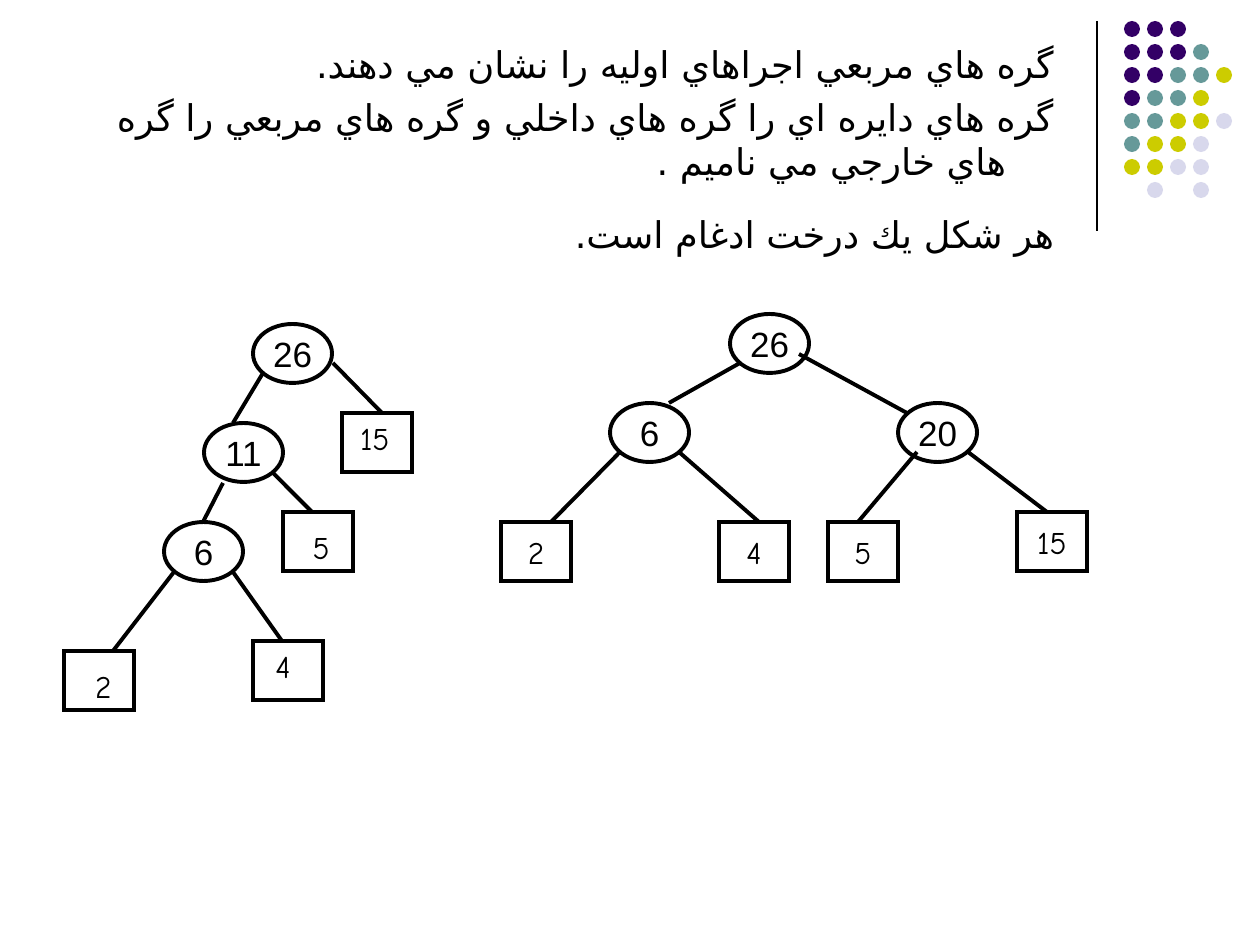
from lxml.etree import SubElement
from pptx import Presentation
from pptx.dml.color import RGBColor
from pptx.enum.shapes import MSO_CONNECTOR as Connector, MSO_SHAPE as Shape
from pptx.enum.text import MSO_ANCHOR as Anchor, MSO_AUTO_SIZE as AutoSize, PP_ALIGN as Align
from pptx.oxml.ns import qn
from pptx.util import Emu, Pt

EMU_PER_PX = 914400 / 126
COLORS = {
    "black": "000000", "white": "FFFFFF",
    "P": "330066", "T": "669999", "Y": "CCCC00", "L": "D8D8EC",
}


def px(*lengths):
    """Turn pixel lengths into a list of EMU lengths."""
    return [Emu(round(length * EMU_PER_PX)) for length in lengths]


def add_text(para, text, size, font, align, rtl_font=None):
    """Add one run; rtl_font makes the paragraph right-to-left."""
    para.alignment = align
    span = para.add_run()
    span.text = text
    span.font.size = Pt(size)
    span.font.name = font
    span.font.color.rgb = RGBColor.from_string(COLORS["black"])
    if rtl_font:
        para._p.get_or_add_pPr().set("rtl", "1")
        SubElement(span._r.get_or_add_rPr(), qn("a:cs"), typeface=rtl_font)


deck = Presentation()
deck.slide_width, deck.slide_height = px(1260, 945)
page = deck.slides.add_slide(deck.slide_layouts[1])
title = page.shapes.title
title._element.getparent().remove(title._element)

# Corner ornament: one letter per dot, naming its colour
DOTS = ["PPP", "PPPT", "PPTTY", "PTTY", "TTYYL", "TYYL", "YYLL", " L L"]
for row, letters in enumerate(DOTS):
    for column, letter in enumerate(letters):
        if letter == " ":
            continue
        dot = page.shapes.add_shape(
            Shape.OVAL, *px(1124 + 23 * column, 21 + 23 * row, 16, 16))
        dot.shadow.inherit = False
        dot.fill.solid()
        dot.fill.fore_color.rgb = RGBColor.from_string(COLORS[letter])
        dot.line.fill.background()

# Explanation
body = page.placeholders[1]
body.left, body.top, body.width, body.height = px(94, 35, 973, 721)
frame = body.text_frame
frame.auto_size = AutoSize.NONE
frame.vertical_anchor = Anchor.TOP
PARAGRAPHS = [
    (0, [("گره هاي مربعي اجراهاي اوليه را نشان مي دهند.", 21)]),
    (5.2, [("گره هاي دايره اي را گره هاي داخلي و گره هاي مربعي را گره هاي خارجي مي ناميم . ", 21)]),
    (7.5, [("هر شكل يك درخت ادغام است.", 21), (" ", 30)]),
]
hanging = px(48)[0]
for index, (space, spans) in enumerate(PARAGRAPHS):
    para = frame.add_paragraph() if index else frame.paragraphs[0]
    properties = para._p.get_or_add_pPr()
    properties.set("marL", str(hanging))
    properties.set("indent", str(-hanging))
    SubElement(properties, qn("a:buNone"))
    para.space_before = Pt(space)
    for text, size in spans:
        add_text(para, text, size, "Arial", Align.RIGHT, "DejaVu Sans")

# Tree nodes: circles are internal, squares are external
CIRCLES = [
    (253, 324, "26"), (204, 423, "11"), (164, 522, "6"),
    (730, 314, "26"), (610, 403, "6"), (898, 403, "20"),
]
SQUARES = [
    (342, 413, ""), (283, 512, ""), (64, 651, ""), (253, 641, ""),
    (501, 522, "2"), (719, 522, "4"), (828, 522, "5"), (1017, 512, "15"),
]
for kind, width, size, rtl_font, nodes in [
        (Shape.OVAL, 79, 20, "Arial", CIRCLES),
        (Shape.RECTANGLE, 70, 18, None, SQUARES)]:
    for left, top, value in nodes:
        node = page.shapes.add_shape(kind, *px(left, top, width, 59))
        node.shadow.inherit = False
        node.fill.solid()
        node.fill.fore_color.rgb = RGBColor.from_string(COLORS["white"])
        node.line.color.rgb = RGBColor.from_string(COLORS["black"])
        node.line.width = Pt(2.25)
        SubElement(node.line._get_or_add_ln(), qn("a:miter"), lim="800000")
        if value:
            node.text_frame.word_wrap = False
            node.text_frame.vertical_anchor = Anchor.MIDDLE
            add_text(node.text_frame.paragraphs[0], value, size, "Comic Neue",
                     Align.CENTER, rtl_font)

# Values of the left tree's squares
LABELS = [(313, 413, 89, "15"), (293, 522, 49, "5"),
          (75, 661, 49, "2"), (263, 641, 40, "4")]
for left, top, width, value in LABELS:
    label = page.shapes.add_textbox(*px(left, top, width, 50))
    label.text_frame.word_wrap = True
    add_text(label.text_frame.paragraphs[0], value, 18, "Comic Neue", Align.RIGHT)

# Ornament rule and tree branches
RULE = [(1097, 21, 1097, 231)]
BRANCHES = [
    (263, 373, 233, 423), (333, 363, 382, 413), (223, 483, 203, 522),
    (272, 472, 312, 512), (174, 572, 113, 651), (233, 572, 282, 641),
    (740, 363, 669, 403), (799, 354, 907, 413), (620, 452, 551, 522),
    (679, 452, 759, 522), (917, 452, 858, 522), (968, 452, 1047, 512),
]
for weight, lines in [(0.75, RULE), (2.25, BRANCHES)]:
    for ends in lines:
        line = page.shapes.add_connector(Connector.STRAIGHT, *px(*ends))
        line.line.color.rgb = RGBColor.from_string(COLORS["black"])
        line.line.width = Pt(weight)
        SubElement(line._element.spPr, qn("a:effectLst"))

deck.save("out.pptx")
